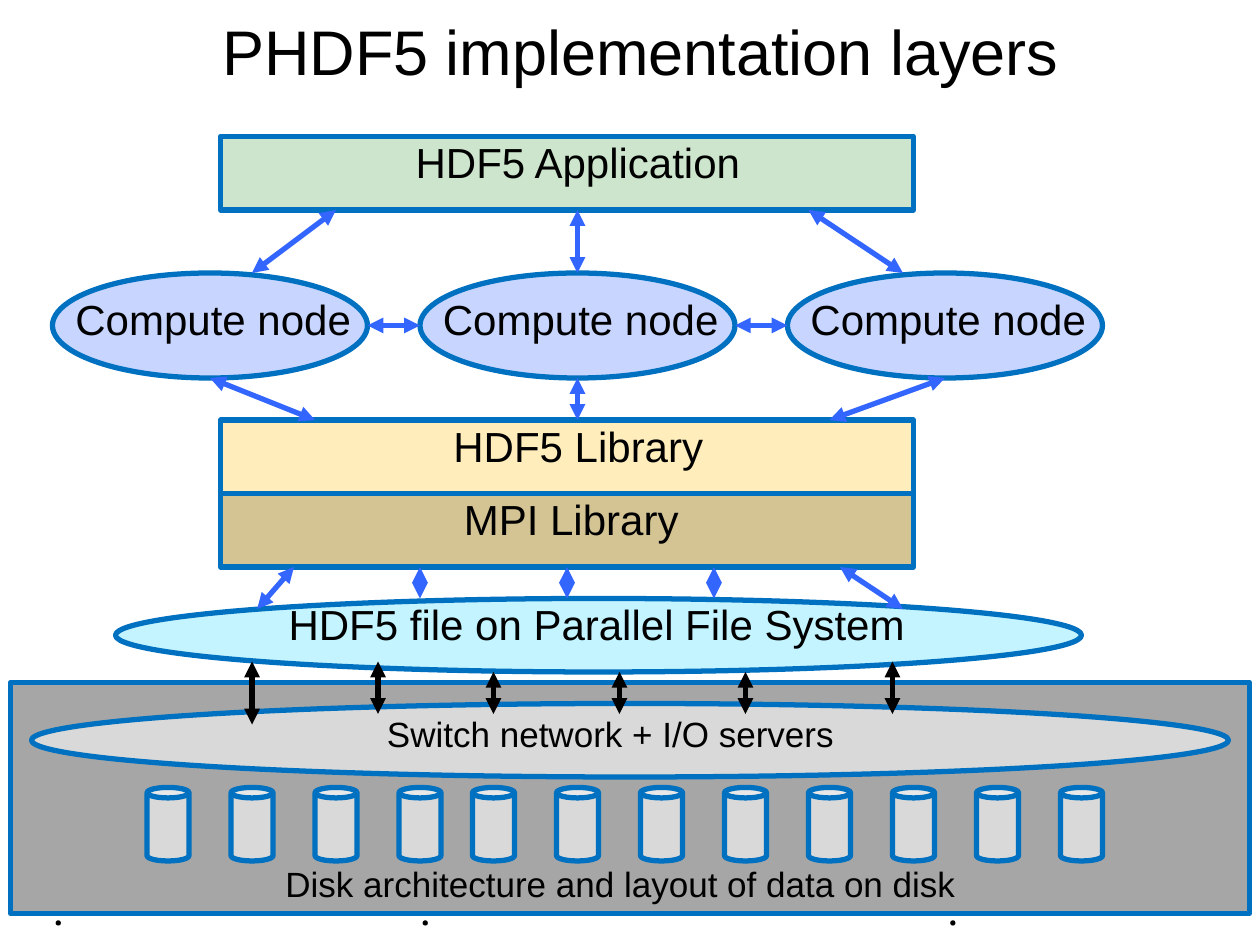
from lxml import etree
from pptx import Presentation
from pptx.dml.color import RGBColor
from pptx.enum.shapes import MSO_CONNECTOR, MSO_SHAPE
from pptx.enum.text import MSO_ANCHOR, MSO_AUTO_SIZE, PP_ALIGN
from pptx.oxml.ns import qn
from pptx.util import Inches, Pt

RECTANGLE, ELLIPSE, CAN = MSO_SHAPE.RECTANGLE, MSO_SHAPE.OVAL, MSO_SHAPE.CAN
STRAIGHT = MSO_CONNECTOR.STRAIGHT
LEFT, CENTER = PP_ALIGN.LEFT, PP_ALIGN.CENTER
TOP, BOTTOM = MSO_ANCHOR.TOP, MSO_ANCHOR.BOTTOM
NO_FIT, GROW = MSO_AUTO_SIZE.NONE, MSO_AUTO_SIZE.SHAPE_TO_FIT_TEXT

COLORS = {
    "black": "000000", "outline": "0070C0", "arrow": "3366FF",
    "application": "008000", "node": "3366FF", "hdf5": "FFEEBC", "mpi": "997300",
    "file": "22D8FF", "disk area": "A6A6A6", "device": "D9D9D9",
}
FONT = "Arial"
LINE_WIDTH = Pt(3)

presentation = Presentation()
presentation.slide_width, presentation.slide_height = Inches(10), Inches(7.5)
# The grid has 120 columns and 90 rows of square cells.
CELL = presentation.slide_width / 120
slide = presentation.slides.add_slide(presentation.slide_layouts[5])


def write_text(shape, text, size=24, color="black", align=LEFT,
               anchor=TOP, wrap=True, fit=NO_FIT, spacing=1.0):
    frame = shape.text_frame
    frame.word_wrap, frame.auto_size, frame.vertical_anchor = wrap, fit, anchor
    paragraph = frame.paragraphs[0]
    paragraph.alignment, paragraph.line_spacing = align, spacing
    run = paragraph.add_run()
    run.text = text
    run.font.name, run.font.size = FONT, Pt(size)
    run.font.color.rgb = RGBColor.from_string(COLORS[color])


def add_block(kind, box, color, opacity=100, outlined=True):
    """Add a filled shape; box is left, top, width, height in cells."""
    shape = slide.shapes.add_shape(kind, *(round(value * CELL) for value in box))
    shape.shadow.inherit = False
    shape.fill.solid()
    shape.fill.fore_color.rgb = RGBColor.from_string(COLORS[color])
    if outlined:
        shape.line.color.rgb = RGBColor.from_string(COLORS["outline"])
        shape.line.width = LINE_WIDTH
    else:
        shape.line.fill.background()
    if opacity < 100:
        fill_color = shape._element.spPr.find(qn("a:solidFill"))[0]
        etree.SubElement(fill_color, qn("a:alpha"), val=str(opacity * 1000))


# Title
title = slide.shapes.title
title.left, title.top, title.width, title.height = (
    round(value * CELL) for value in (15, 2, 92, 7))
write_text(title, "PHDF5 implementation layers", size=36, align=CENTER, anchor=BOTTOM)

# Layers, from back to front
NODE_LEFTS = (5, 40, 75)
CAN_LEFTS = [*range(14, 39, 8), *range(45, 102, 8)]
add_block(ELLIPSE, (11, 57, 92, 7), "file", 27)
add_block(RECTANGLE, (1, 65, 118, 22), "disk area")
add_block(RECTANGLE, (21, 13, 66, 7), "application", 20)
for left in NODE_LEFTS:
    add_block(ELLIPSE, (left, 26, 30, 10), "node", 27)
add_block(RECTANGLE, (21, 40, 66, 7), "hdf5")
add_block(RECTANGLE, (21, 47, 66, 7), "mpi", 42)
add_block(ELLIPSE, (3, 67, 114, 7), "device")
for left in CAN_LEFTS:
    add_block(CAN, (left, 75, 4, 7), "device")

# Labels: text, left, top, width in cells, size in points
labels = [
    ("HDF5 Application", 38.4, 13, 33.7, 24),
    *(("Compute node", left + 1, 27.95, 28.9, 24) for left in NODE_LEFTS),
    ("HDF5 Library", 42, 40, 26.5, 24),
    ("MPI Library", 43, 47, 23, 24),
    ("HDF5 file on Parallel File System", 26.3, 57, 64.2, 24),
    ("Switch network + I/O servers", 34.95, 67.75, 46.4, 20),
    ("Disk architecture and layout of data on disk", 26, 82, 67.9, 20),
]
for text, left, top, width, size in labels:
    height = 5.5 if size == 24 else 4.8
    label = slide.shapes.add_textbox(
        *(round(value * CELL) for value in (left, top, width, height)))
    write_text(label, text, size=size, wrap=False, fit=GROW, spacing=0.9,
               align=CENTER if text.startswith("Switch") else LEFT)

# Double arrows between layers: start column and row, end column and row
arrows = {
    "arrow": [
        (32, 20, 24, 26), (55, 20, 55, 26), (77, 20, 86, 26),
        (35, 31, 40, 31), (70, 31, 75, 31),
        (20, 36, 30, 40), (55, 36, 55, 40), (90, 36, 79, 40),
        (28, 54, 24.5, 58), (80, 54, 86, 58),
        *((column, 54, column, 57) for column in (40, 54, 68)),
    ],
    "black": [
        (24, 63, 24, 69), (36, 63, 36, 68), (85, 63, 85, 68),
        *((column, 64, column, 68) for column in (47, 59, 71)),
    ],
}
for color, routes in arrows.items():
    for route in routes:
        arrow = slide.shapes.add_connector(
            STRAIGHT, *(round(value * CELL) for value in route))
        arrow.line.color.rgb = RGBColor.from_string(COLORS[color])
        arrow.line.width = LINE_WIDTH
        for end in ("a:headEnd", "a:tailEnd"):
            etree.SubElement(arrow.line._ln, qn(end), type="triangle")
        etree.SubElement(arrow._element.spPr, qn("a:effectLst"))

# Footer dots
DOT = 0.5
for left in (5.3, 40.25, 90.5):
    add_block(ELLIPSE, (left, 87.65, DOT, DOT), "black", outlined=False)

presentation.save("out.pptx")
